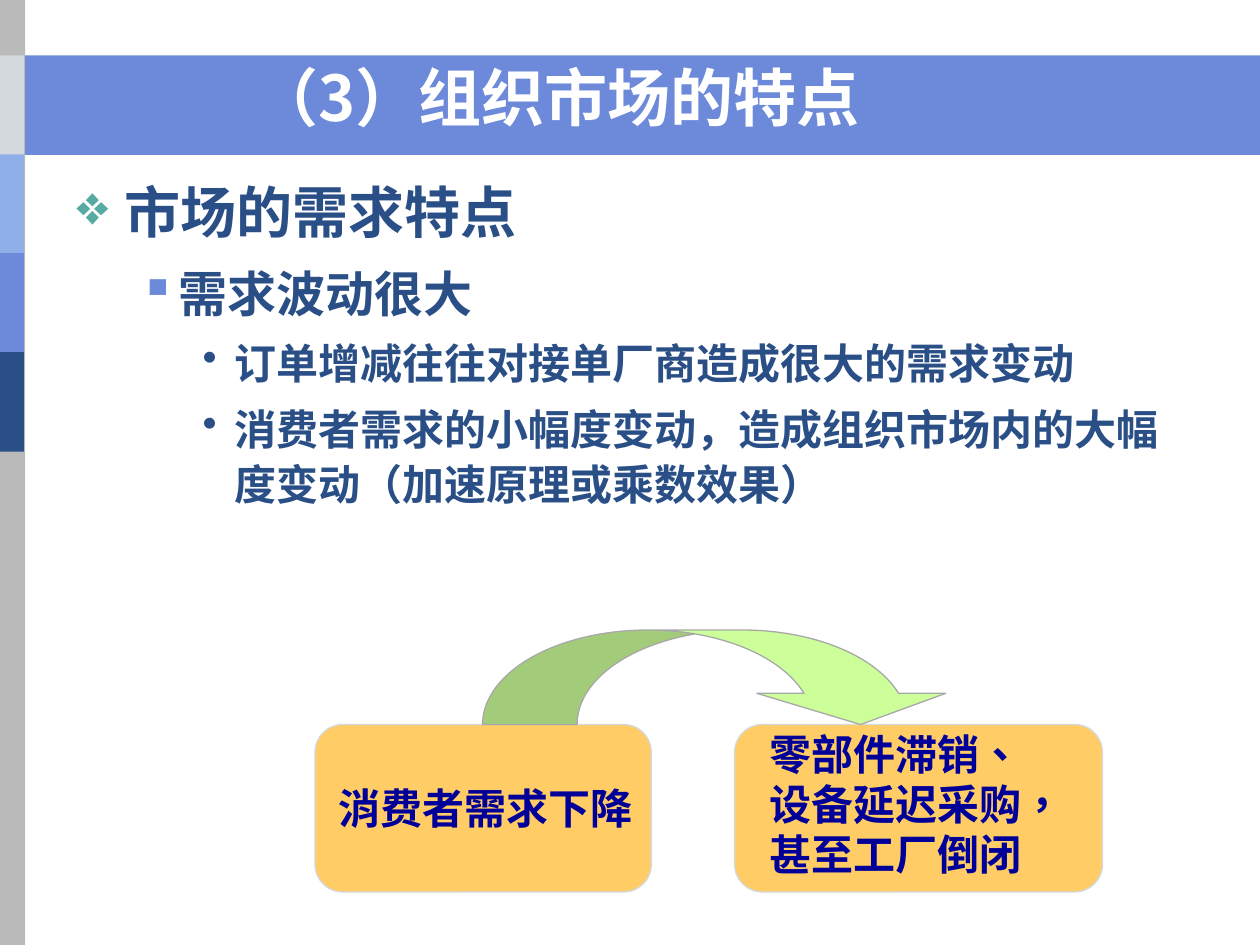
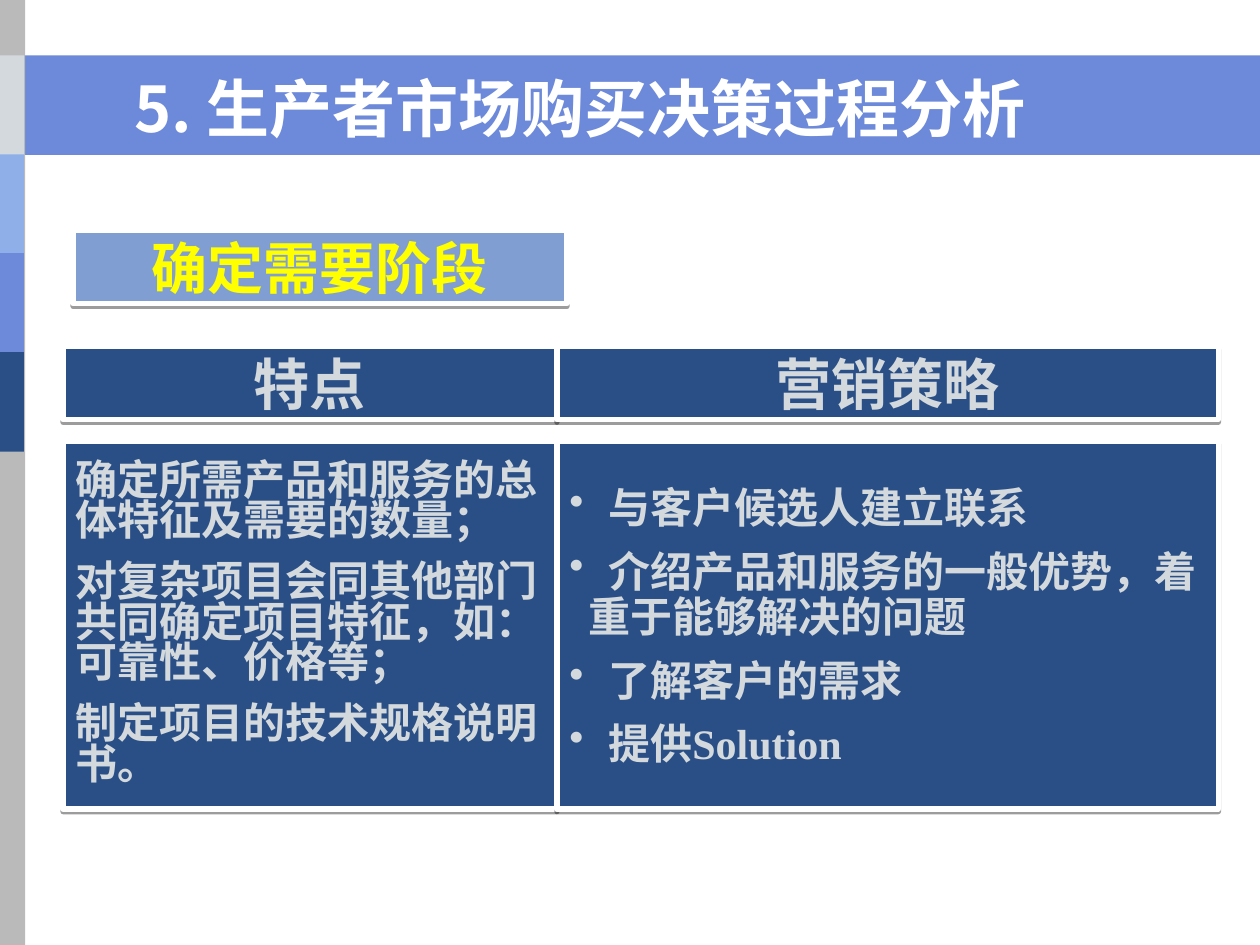
from lxml.etree import SubElement
from pptx import Presentation
from pptx.dml.color import RGBColor
from pptx.enum.lang import MSO_LANGUAGE_ID as Lang
from pptx.enum.shapes import MSO_SHAPE as Shape
from pptx.enum.text import MSO_ANCHOR as Anchor, PP_ALIGN as Align
from pptx.oxml.ns import qn
from pptx.util import Inches, Pt

W, H = 10, 7.5
SANS, SERIF, BODY = "Noto Sans CJK SC", "Times New Roman", "Calibri"
WHITE, NAVY, BLUE, PALE = "FFFFFF", "2A4F86", "6C89DA", "D3D9DD"
BAND_TOP, BAND_H = 0.44, 0.79
RAIL_W, CHIP_STEP = 0.2, 0.785
CHIPS = [PALE, "8FAFE9", BLUE, NAVY]

LEVELS = [
    dict(size=32, left=0.38, hang=0.38, before=8, bullet="❖", dot="57ABA3"),
    dict(size=28, left=0.81, hang=0.31, before=7, bullet="▪", dot=BLUE),
    dict(size=24, left=1.25, hang=0.25, before=6, bullet="•", dot=NAVY),
]
DEMAND_TITLE = "（3）组织市场的特点"
DEMAND = [
    (0, "市场的需求特点"),
    (1, "需求波动很大"),
    (2, "订单增减往往对接单厂商造成很大的需求变动"),
    (2, "消费者需求的小幅度变动，造成组织市场内的大幅度变动（加速原理或乘数效果）"),
]
CAUSE = ["消费者需求下降"]
EFFECT = ["零部件滞销、", "设备延迟采购，", "甚至工厂倒闭"]

BUYING_TITLE = "5. 生产者市场购买决策过程分析"
STAGE = "确定需要阶段"
TRAITS = [
    ["确定所需产品和服务的总", "体特征及需要的数量；"],
    ["对复杂项目会同其他部门", "共同确定项目特征，如：", "可靠性、价格等；"],
    ["制定项目的技术规格说明", "书。"],
]
TACTICS = [
    ["与客户候选人建立联系"],
    ["介绍产品和服务的一般优势，着", "重于能够解决的问题"],
    ["了解客户的需求"],
    ["提供Solution"],
]
COL_X, COL_W = [0.5, 4.42], [3.92, 5.25]
HEAD_Y, CELL_Y, HEAD_H, CELL_H = 2.75, 3.5, 0.58, 2.92


def rgb(value):
    return RGBColor.from_string(value)


def place(x, y, w, h):
    return [Inches(v) for v in (x, y, w, h)]


def shape(s, kind, box, fill, line=None, weight=0.75):
    sp = s.shapes.add_shape(kind, *place(*box))
    sp.shadow.inherit = False
    sp.fill.solid()
    sp.fill.fore_color.rgb = rgb(fill)
    if line:
        sp.line.color.rgb = rgb(line)
        sp.line.width = Pt(weight)
    else:
        sp.line.fill.background()
    return sp


def textbox(s, box, wrap=True, anchor=Anchor.TOP):
    tf = s.shapes.add_textbox(*place(*box)).text_frame
    tf.word_wrap = wrap
    tf.vertical_anchor = anchor
    return tf


def indent(p, left, hang=0, bullet=None, dot=None):
    pPr = p._p.get_or_add_pPr()
    pPr.set("marL", str(Inches(left)))
    pPr.set("indent", str(-Inches(hang)))
    if bullet:
        clr = SubElement(pPr, qn("a:buClr"))
        SubElement(clr, qn("a:srgbClr"), val=dot)
        SubElement(pPr, qn("a:buChar"), char=bullet)


def write(tf, text, size, color, font=SANS, align=Align.LEFT, spacing=1.0,
          before=0, lang=Lang.SIMPLIFIED_CHINESE, **bullet):
    first = not tf.paragraphs[0].runs
    p = tf.paragraphs[0] if first else tf.add_paragraph()
    p.alignment = align
    p.line_spacing = spacing
    if before and not first:
        p.space_before = Pt(before)
    if bullet:
        indent(p, **bullet)
    r = p.add_run()
    r.text = text
    f = r.font
    f.size, f.bold, f.name = Pt(size), True, font
    f.color.rgb = rgb(color)
    f.language_id = lang
    SubElement(r._r.get_or_add_rPr(), qn("a:ea"), typeface=SANS)


def new_slide(prs):
    s = prs.slides.add_slide(prs.slide_layouts[6])
    shape(s, Shape.RECTANGLE, (0, BAND_TOP, W, BAND_H), BLUE)
    shape(s, Shape.RECTANGLE, (0, 0, RAIL_W, H), "BABABA")
    for i, color in enumerate(CHIPS):
        y = BAND_TOP + i * CHIP_STEP
        shape(s, Shape.RECTANGLE, (0, y, RAIL_W - 0.01, BAND_H), color)
    return s


def panel(s, box, fill):
    sp = shape(s, Shape.RECTANGLE, box, fill, WHITE, 3)
    effects = sp._element.spPr.find(qn("a:effectLst"))
    shadow = SubElement(effects, qn("a:outerShdw"), blurRad="0",
                        dist=str(Pt(1.6)), dir="5400000", rotWithShape="0")
    clr = SubElement(shadow, qn("a:srgbClr"), val="000000")
    SubElement(clr, qn("a:alpha"), val="38000")
    tf = sp.text_frame
    tf.word_wrap = True
    tf.vertical_anchor = Anchor.MIDDLE
    return tf


def heading(s, box, text, fill, color):
    write(panel(s, box, fill), text, 32, color, SERIF, Align.CENTER)


def demand_slide(prs):
    s = new_slide(prs)
    tf = textbox(s, (0.51, 1.31, 9, 2.96))
    for level, text in DEMAND:
        write(tf, text, color=NAVY, font=BODY, spacing=1.1, **LEVELS[level])

    box_y, box_h = 5.75, 1.33
    cards = [
        (2.5, 2.67, (2.59, 6.16, 2.53, 0.5), CAUSE, Align.CENTER),
        (5.83, 2.92, (6.01, 5.73, 2.53, 1.3), EFFECT, Align.LEFT),
    ]
    for x, w, text_box, lines, align in cards:
        shape(s, Shape.ROUNDED_RECTANGLE, (x, box_y, w, box_h), "FFCC66", PALE)
        tf = textbox(s, text_box, wrap=False)
        for line in lines:
            write(tf, line, 24, "000099", align=align,
                  lang=Lang.TRADITIONAL_CHINESE)

    arrow = shape(s, Shape.CURVED_DOWN_ARROW, (3.83, 5, 3.75, 0.75),
                  "CCFF99", "A8A8A8")
    for i, value in enumerate((1, 2, 0.33)):
        arrow.adjustments[i] = value

    tf = textbox(s, (1.67, 0.33, 5.51, 0.87), anchor=Anchor.MIDDLE)
    write(tf, DEMAND_TITLE, 36, WHITE, align=Align.CENTER)


def buying_slide(prs):
    s = new_slide(prs)
    heading(s, (0.58, 1.83, COL_W[0], HEAD_H), STAGE, "819ED3", "FFFF00")

    cells = []
    for x, w, title in zip(COL_X, COL_W, ("特点", "营销策略")):
        heading(s, (x, HEAD_Y, w, HEAD_H), title, NAVY, PALE)
        cells.append(panel(s, (x, CELL_Y, w, CELL_H), NAVY))
    traits, tactics = cells

    for lines in TRAITS:
        for i, line in enumerate(lines):
            write(traits, line, 24, PALE, SERIF, spacing=0.8,
                  before=0 if i else 12)
    for first, *rest in TACTICS:
        write(tactics, first, 24, PALE, SERIF, before=7.5,
              left=0.31, hang=0.31, bullet="•", dot=PALE)
        for line in rest:
            write(tactics, line, 24, PALE, SERIF, spacing=0.9, left=0.15)

    tf = textbox(s, (0.97, 0.5, 8.2, 0.7), anchor=Anchor.BOTTOM)
    write(tf, BUYING_TITLE, 36, WHITE)


def main():
    prs = Presentation()
    prs.slide_width, prs.slide_height = Inches(W), Inches(H)
    demand_slide(prs)
    buying_slide(prs)
    prs.save("out.pptx")


if __name__ == "__main__":
    main()
